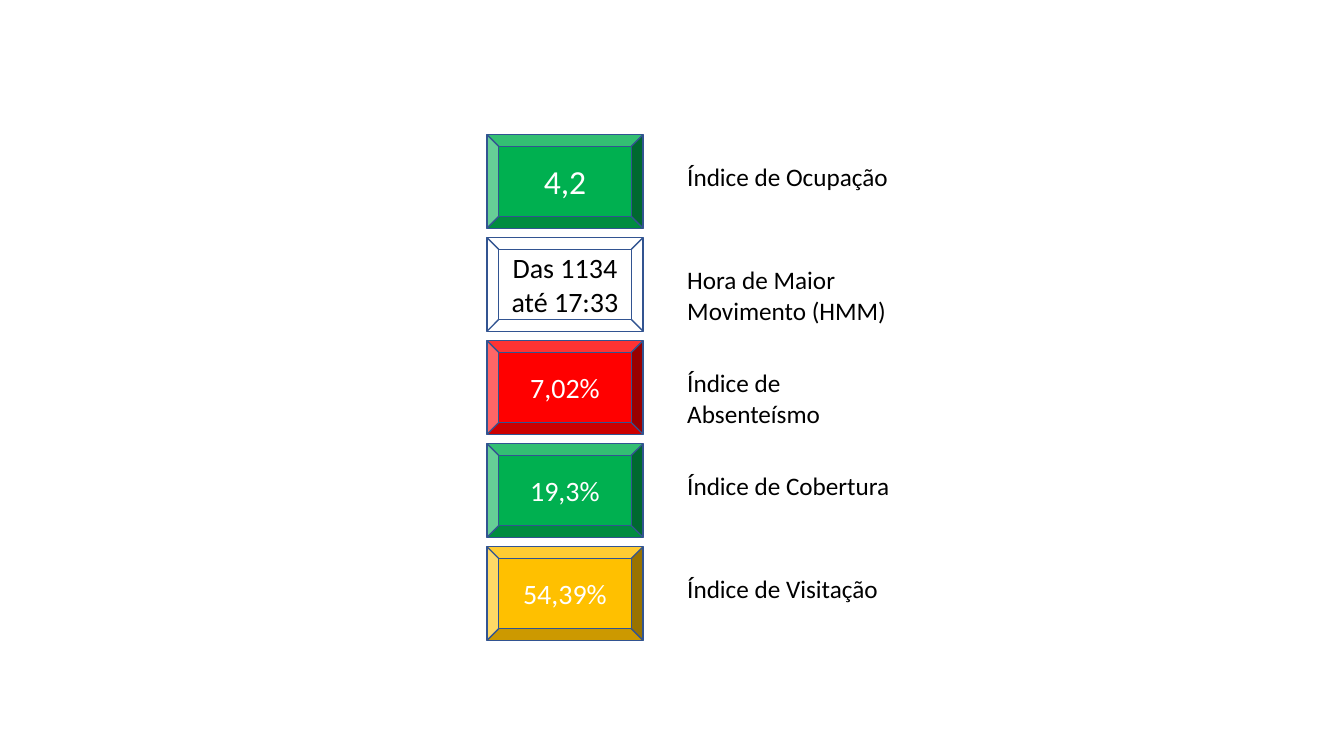
from dataclasses import dataclass

from pptx import Presentation
from pptx.dml.color import RGBColor
from pptx.enum.shapes import MSO_SHAPE
from pptx.enum.text import MSO_ANCHOR, MSO_AUTO_SIZE, PP_ALIGN
from pptx.util import Cm, Pt


@dataclass(frozen=True)
class Theme:
    """Colours, font and type sizes of the slide."""
    font: str = "Calibri"
    green: str = "00B050"
    red: str = "FF0000"
    amber: str = "FFC000"
    edge: str = "325491"
    white: str = "FFFFFF"
    black: str = "000000"
    large: int = 24
    value: int = 20
    label: int = 18


THEME = Theme()

ROWS = [
    ("4,2", THEME.green, THEME.large, "Índice de Ocupação", 1),
    ("Das 1134 até 17:33", None, THEME.value, "Hora de Maior Movimento (HMM)", 2),
    ("7,02%", THEME.red, THEME.value, "Índice de Absenteísmo", 2),
    ("19,3%", THEME.green, THEME.value, "Índice de Cobertura", 1),
    ("54,39%", THEME.amber, THEME.value, "Índice de Visitação", 1),
]


def write(frame, text, size, color, align=PP_ALIGN.LEFT, anchor=MSO_ANCHOR.TOP):
    """Put formatted text into a text frame."""
    frame.word_wrap = True
    frame.vertical_anchor = anchor
    line = frame.paragraphs[0]
    line.alignment = align
    run = line.add_run()
    run.text = text
    run.font.name = THEME.font
    run.font.size = Pt(size)
    run.font.color.rgb = RGBColor.from_string(color)


def badge(slide, left, top, width, height, text, fill, size):
    """Draw a bevelled badge that holds a value."""
    shape = slide.shapes.add_shape(
        MSO_SHAPE.BEVEL, Cm(left), Cm(top), Cm(width), Cm(height))
    shape.shadow.inherit = False
    shape.line.color.rgb = RGBColor.from_string(THEME.edge)
    shape.line.width = Pt(1)
    if fill:
        shape.fill.solid()
        shape.fill.fore_color.rgb = RGBColor.from_string(fill)
    else:
        shape.fill.background()
    write(shape.text_frame, text, size, THEME.white if fill else THEME.black,
          align=PP_ALIGN.CENTER, anchor=MSO_ANCHOR.MIDDLE)


def label(slide, left, top, width, text, lines):
    """Place the name of an index."""
    box = slide.shapes.add_textbox(
        Cm(left), Cm(top), Cm(width), Cm(0.24 + 0.78 * lines))
    write(box.text_frame, text, THEME.label, THEME.black)
    box.text_frame.auto_size = MSO_AUTO_SIZE.SHAPE_TO_FIT_TEXT


def panel(slide, left, top, width, height):
    """Stack the rows of badges and labels in a box."""
    pitch = height / len(ROWS)
    for index, (value, fill, size, name, lines) in enumerate(ROWS):
        y = top + index * pitch
        badge(slide, left, y, 3.94, pitch - 0.23, value, fill, size)
        label(slide, left + 4.8, y + 0.56, width - 4.8, name, lines)


def main():
    """Build and save the slide."""
    deck = Presentation()
    deck.slide_width = Cm(33.87)
    deck.slide_height = Cm(19.05)
    slide = deck.slides.add_slide(deck.slide_layouts[6])
    panel(slide, left=12.27, top=3.39, width=10.9, height=12.98)
    deck.save("out.pptx")


if __name__ == "__main__":
    main()
